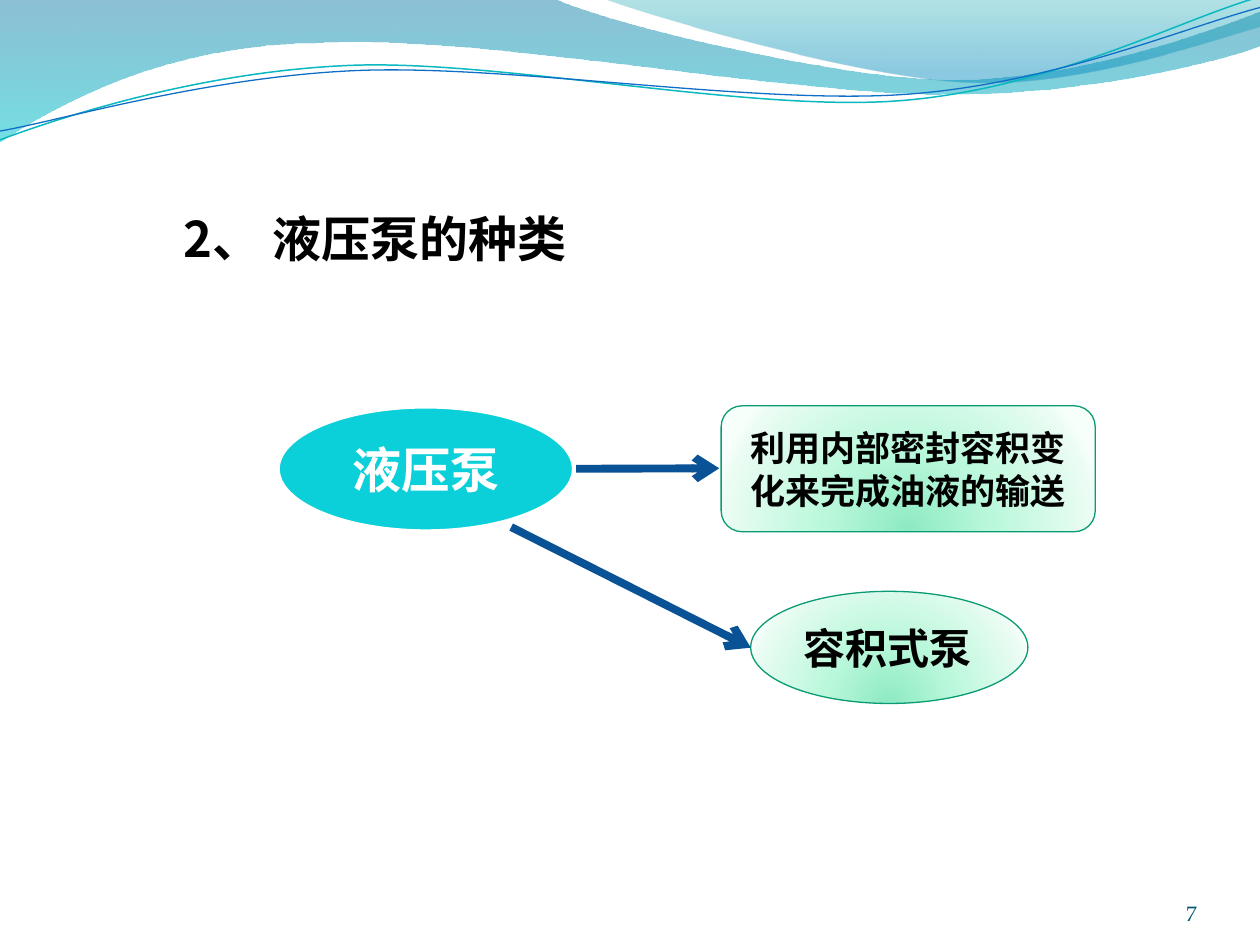
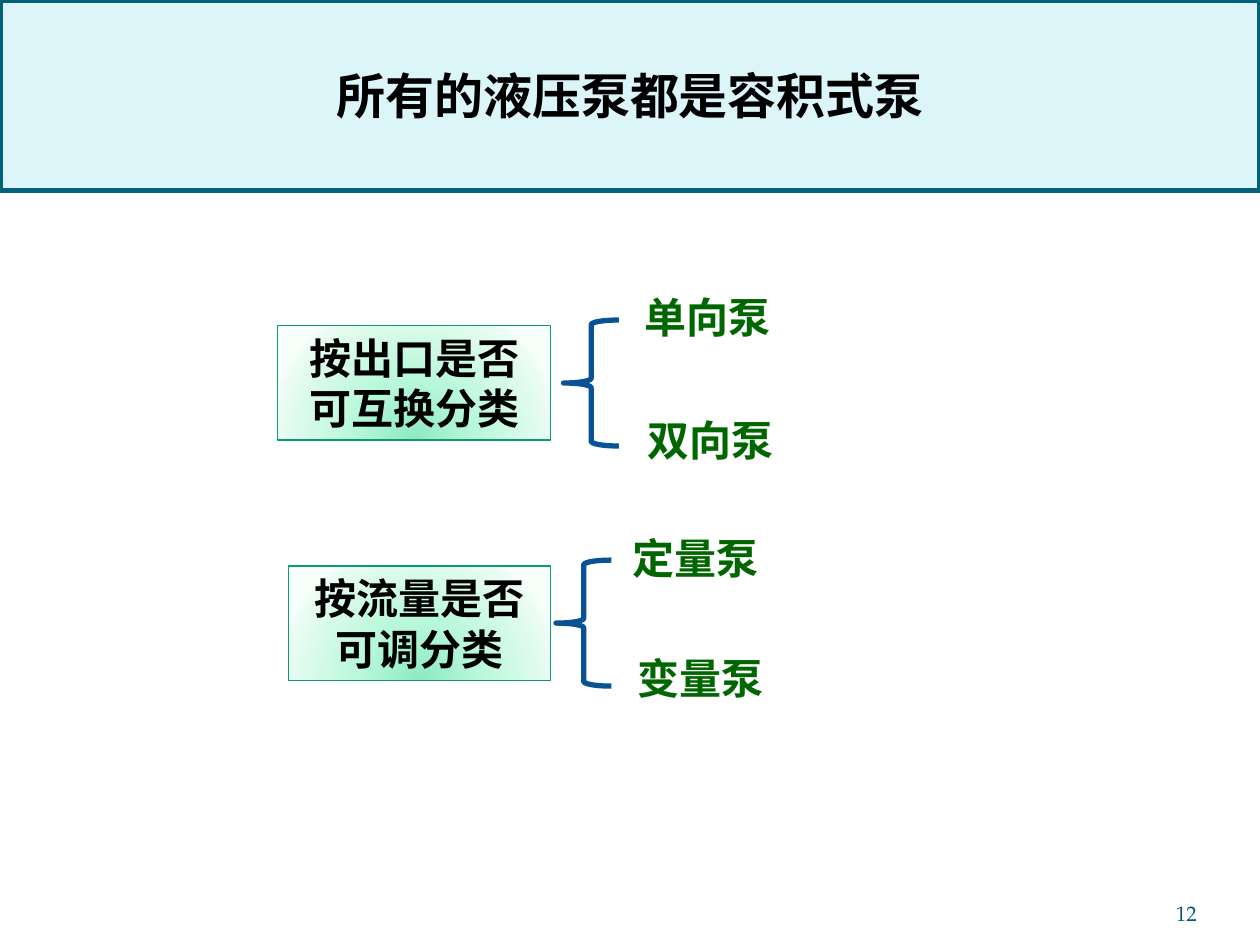
"""Build two slides on the kinds of hydraulic pump."""
from math import cos, radians, sin

from lxml.etree import SubElement
from pptx import Presentation
from pptx.dml.color import RGBColor
from pptx.enum.shapes import MSO_CONNECTOR as Link, MSO_SHAPE as Preset
from pptx.enum.text import MSO_ANCHOR as Anchor, MSO_AUTO_SIZE as Fit, PP_ALIGN as Align
from pptx.oxml.ns import qn
from pptx.util import Pt

COLOURS = {
    "white": "FFFFFF", "black": "000000", "green": "006600", "arrow": "095295",
    "pump": "0BD0D9", "mint_edge": "0A9B74", "number": "045D75",
    "band": "DBF5F9", "band_edge": "04617B",
    "teal_curve": "0AB8BF", "blue_curve": "0F6FC6",
}
MINT = [(0, "8DEAC2", 100), (43, "BAF8DB", 100), (93, "EAFCF3", 100), (100, "F7FFFB", 100)]
CJK, SERIF = "Noto Sans CJK SC", "TeX Gyre Pagella"
LINE_HEIGHT = 1.21
CURVE_TILT, CURVE_CENTRE = -2.7, (359.3, 41.8)

BROAD_WAVE = [
    (0, -0.7), (316.8, -0.7),
    (342.7, 12.2, 478.1, 45.4, 545.8, 45.4), (614.2, 45.4, 689.8, 18.7, 720, 6.5),
    (720.7, 25.9),
    (707.8, 31.7, 626.4, 54.7, 537.1, 54), (447.8, 54, 275, 20.2, 185, 24.5),
    (92.9, 25.2, 33.1, 59.8, -0.7, 81.4), (0, -0.7),
]
RIGHT_WAVE = [
    (344.9, -0.7), (366.5, 7.9, 491, 44.6, 553.7, 46.8),
    (616.3, 49.7, 691.9, 23, 720, 15.1), (720, 0), (344.9, -0.7),
]
TEAL_CURVE = [
    (0, 79.9), (34.6, 67, 113.8, 41, 199.4, 37.4),
    (284.4, 33.8, 427, 64.1, 513.4, 57.6), (599.8, 51.1, 675.4, 10.8, 718.6, -1.4),
]
BLUE_CURVE = [
    (0, 74.9), (33.8, 69.1, 118.1, 43.9, 203.8, 40.3),
    (290.2, 36.7, 429.8, 59.8, 516.2, 54), (601.9, 48.2, 678.2, 15.1, 720, 4.3),
]


def colour(name):
    """Return the named colour."""
    return RGBColor.from_string(COLOURS[name])


def paint(shape, fill=None, edge=None, width=0.75):
    """Give a shape a plain fill and edge, or none, and no shadow."""
    shape.shadow.inherit = False
    for part, name in ((shape.fill, fill), (shape.line.fill, edge)):
        if name:
            part.solid()
            part.fore_color.rgb = colour(name)
        else:
            part.background()
    if edge:
        shape.line.width = Pt(width)


def add_gradient(shape, stops, radial=False):
    """Replace the empty fill of a shape by a gradient of (place, hex, opacity) stops."""
    blank = shape.element.spPr.find(qn("a:noFill"))
    gradient = blank.makeelement(qn("a:gradFill"), {"rotWithShape": "1"})
    stop_list = SubElement(gradient, qn("a:gsLst"))
    for place, value, opacity in stops:
        stop = SubElement(stop_list, qn("a:gs"), pos=str(place * 1000))
        tint = SubElement(stop, qn("a:srgbClr"), val=value)
        if opacity < 100:
            SubElement(tint, qn("a:alpha"), val=str(opacity * 1000))
    if radial:
        circle = SubElement(gradient, qn("a:path"), path="circle")
        SubElement(circle, qn("a:fillToRect"), l="50000", t="130000", r="50000", b="-30000")
    else:
        SubElement(gradient, qn("a:lin"), ang="5400000", scaled="0")
    blank.getparent().replace(blank, gradient)


def turn(x, y, degrees):
    """Turn a point clockwise about the centre of the thin curves."""
    angle, (centre_x, centre_y) = radians(degrees), CURVE_CENTRE
    x, y = x - centre_x, y - centre_y
    return (centre_x + x * cos(angle) - y * sin(angle),
            centre_y + x * sin(angle) + y * cos(angle))


def add_curve(slide, path, closed=False, tilt=0):
    """Draw a path of lines and cubic Bezier pieces as a freeform."""
    points = [turn(*piece[i:i + 2], -tilt) for piece in path for i in range(0, len(piece), 2)]
    start, *rest = [(Pt(x), Pt(y)) for x, y in points]
    builder = slide.shapes.build_freeform(*start)
    builder.add_line_segments(rest, close=closed)
    curve = builder.convert_to_shape()
    segments = iter(list(curve.element.iter(qn("a:lnTo"))))
    for piece in path[1:]:
        segment = next(segments)
        if len(piece) == 6:
            bezier = segment.makeelement(qn("a:cubicBezTo"), {})
            segment.addprevious(bezier)
            for handle in (segment, next(segments), next(segments)):
                bezier.append(handle[0])
                handle.getparent().remove(handle)
    curve.rotation = tilt
    return curve


def add_waves(slide):
    """Draw the waves and put them on the layout that the slides share."""
    waves = []
    for path, stops in ((BROAD_WAVE, [(0, "0074A1", 45), (100, "00C6CF", 55)]),
                        (RIGHT_WAVE, [(0, "00A1A9", 30), (80, "008BBF", 45)])):
        wave = add_curve(slide, path, closed=True)
        paint(wave)
        add_gradient(wave, stops)
        waves.append(wave)
    for path, name, width in ((TEAL_CURVE, "teal_curve", 0.85),
                              (BLUE_CURVE, "blue_curve", 0.75)):
        curve = add_curve(slide, path, tilt=CURVE_TILT)
        paint(curve, edge=name, width=width)
        waves.append(curve)
    for wave in waves:
        slide.slide_layout.shapes.element.append(wave.element)


def write(shape, text, size, name="black", align=Align.CENTER, anchor=Anchor.MIDDLE,
          face=CJK, bold=True):
    """Set and format the text of a shape."""
    frame = shape.text_frame
    frame.text = text
    frame.word_wrap = True
    frame.auto_size = Fit.NONE
    frame.vertical_anchor = anchor
    for paragraph in frame.paragraphs:
        paragraph.alignment = align
        paragraph.line_spacing = Pt(round(size * LINE_HEIGHT, 1))
        for run in paragraph.runs:
            run.font.size = Pt(size)
            run.font.bold = bold
            run.font.color.rgb = colour(name)
            run.font.name = face
    for latin in list(shape.element.iter(qn("a:latin"))):
        latin.addnext(latin.makeelement(qn("a:ea"), {"typeface": face}))


def set_insets(shape, left=0, top=0, right=0, bottom=0):
    """Set the text margins of a shape."""
    frame = shape.text_frame
    frame.margin_left, frame.margin_top = Pt(left), Pt(top)
    frame.margin_right, frame.margin_bottom = Pt(right), Pt(bottom)


def set_title(slide, text, box, align):
    """Place and write the title."""
    title = slide.shapes.title
    title.left, title.top, title.width, title.height = map(Pt, box)
    write(title, text, 28, align=align)
    return title


def add_preset(slide, preset, box):
    """Add a preset shape at left, top, width, height."""
    return slide.shapes.add_shape(preset, *map(Pt, box))


def add_mint_box(slide, preset, box, text, size, **layout):
    """Add a shape with the mint gradient and bold text."""
    mint = add_preset(slide, preset, box)
    paint(mint, edge="mint_edge")
    add_gradient(mint, MINT, radial=True)
    write(mint, text, size, **layout)


def add_arrow(slide, *ends):
    """Add a thick arrow from one point to another."""
    arrow = slide.shapes.add_connector(Link.STRAIGHT, *map(Pt, ends))
    arrow.line.color.rgb = colour("arrow")
    arrow.line.width = Pt(4.5)
    properties = arrow.element.spPr
    SubElement(properties.find(qn("a:ln")), qn("a:tailEnd"), type="arrow")
    SubElement(properties, qn("a:effectLst"))


def add_label(slide, left, top, width, text):
    """Add a green pump name."""
    label = slide.shapes.add_textbox(Pt(left), Pt(top), Pt(width), Pt(36))
    write(label, text, 24, "green", Align.LEFT, Anchor.TOP)


def add_brace(slide, left, top):
    """Add a brace that opens to the right."""
    brace = add_preset(slide, Preset.LEFT_BRACE, (left, top, 31.7, 72))
    paint(brace, edge="arrow", width=3)


def add_page_number(slide, number):
    """Add the page number at the lower right."""
    page = slide.shapes.add_textbox(Pt(624.2), Pt(500.4), Pt(59.8), Pt(28.8))
    set_insets(page)
    write(page, number, 12, "number", Align.RIGHT, Anchor.BOTTOM, SERIF, False)


def build_kinds(slide):
    """Build the slide on what a hydraulic pump is."""
    title = set_title(slide, "2、 液压泵的种类", (105.1, 82.8, 612, 102.2), Align.LEFT)
    set_insets(title, top=3.6)
    pump = add_preset(slide, Preset.OVAL, (158.4, 232, 169.9, 72))
    paint(pump, "pump", "white", 3)
    write(pump, "液压泵", 28, "white")
    add_mint_box(slide, Preset.OVAL, (429, 337.9, 158.4, 64.1), "容积式泵", 24,
                 align=Align.LEFT)
    add_arrow(slide, 292.1, 301.2, 429, 370.1)
    add_arrow(slide, 329.2, 267.9, 411, 267.6)
    add_mint_box(slide, Preset.ROUNDED_RECTANGLE, (412.1, 231.9, 213.8, 72),
                 "利用内部密封容积变化来完成油液的输送", 20)
    add_page_number(slide, "7")


def build_classes(slide):
    """Build the slide on how pumps are classed."""
    title = set_title(slide, "所有的液压泵都是容积式泵", (0, 0, 720, 108.7), Align.CENTER)
    paint(title, "band", "band_edge", 3)
    classes = [
        ((158.6, 186.1, 156.2, 65.4), "按出口是否\n可互换分类", (322, 182.9),
         [(361.4, 162.7, 185.8, "单向泵"), (362.9, 233.3, 156.2, "双向泵")]),
        ((164.8, 323.5, 149.8, 65.4), "按流量是否\n可调分类", (317.7, 320.1),
         [(354.2, 300.5, 120.2, "定量泵"), (357.1, 369.4, 162, "变量泵")]),
    ]
    for box, basis, brace, pumps in classes:
        add_mint_box(slide, Preset.RECTANGLE, box, basis, 24, anchor=Anchor.TOP)
        add_brace(slide, *brace)
        for pump in pumps:
            add_label(slide, *pump)
    add_page_number(slide, "12")


def main():
    """Build and save the presentation."""
    deck = Presentation()
    deck.slide_width, deck.slide_height = Pt(720), Pt(540)
    title_only = deck.slide_layouts[5]
    kinds, classes = [deck.slides.add_slide(title_only) for _ in range(2)]
    add_waves(kinds)
    build_kinds(kinds)
    build_classes(classes)
    deck.save("out.pptx")


if __name__ == "__main__":
    main()
